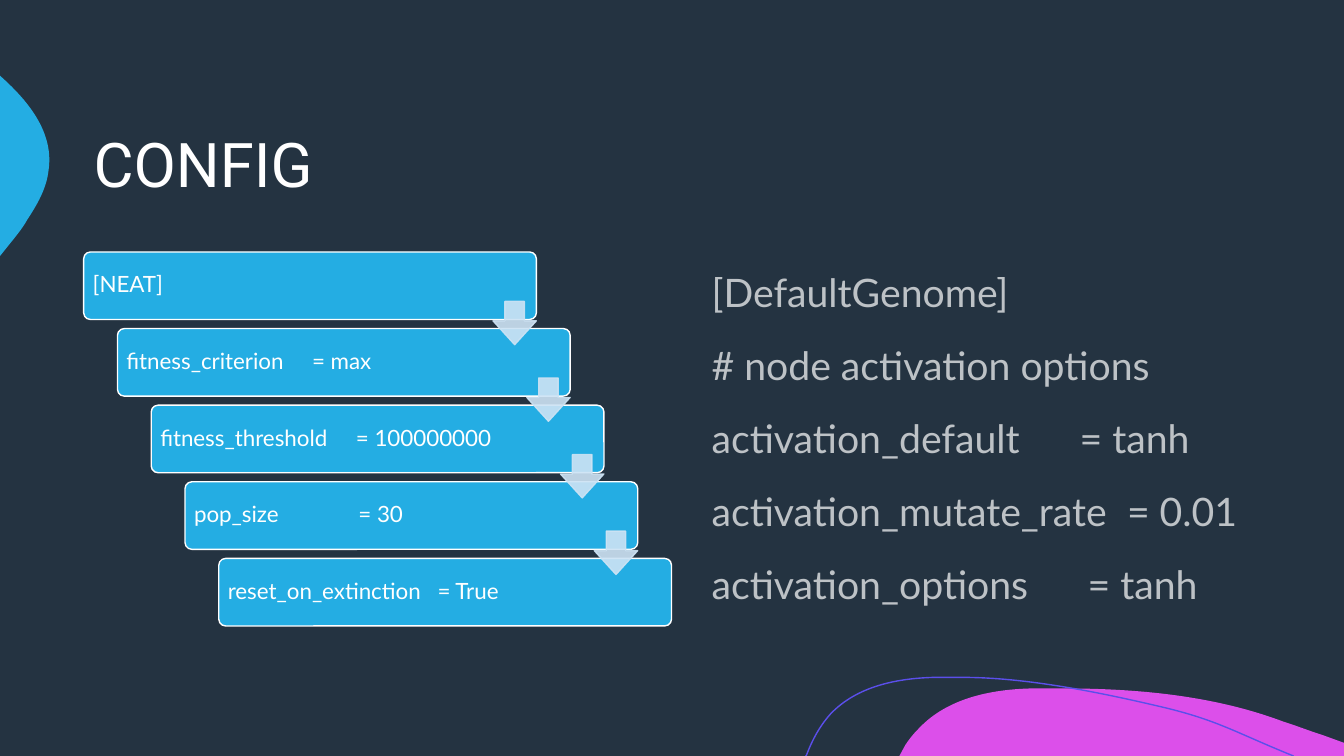
"""Build the CONFIG slide with its stepped settings and genome options."""
from pptx import Presentation
from pptx.dml.color import RGBColor
from pptx.enum.shapes import MSO_SHAPE
from pptx.enum.text import MSO_ANCHOR, PP_ALIGN
from pptx.oxml.ns import qn
from pptx.util import Inches, Pt
from lxml.etree import SubElement

HUES = {"back": "243341", "blue": "24ADE3", "pink": "DC4FEA",
        "violet": "5B4FEA", "pale": "CDE3F4", "white": "FFFFFF"}
STEPS = [("[NEAT]", None), ("fitness_criterion\t= max", 1.84),
         ("fitness_threshold\t= 100000000", 1.94),
         ("pop_size\t= 30", 1.63), ("reset_on_extinction\t= True", 2.08)]
GENOME = [("[DefaultGenome]", None), ("# node activation options", None),
          ("activation_default\t= tanh", 3.65),
          ("activation_mutate_rate\t= 0.01", 4.12),
          ("activation_options\t= tanh", 3.73)]
WAVES = [
    ("pink", None, (10.54, 6.83), [
        (11.28, 6.83, 12.04, 6.9, 12.73, 7.16),
        (12.86, 7.2, 12.98, 7.25, 13.11, 7.29),
        (13.33, 7.37), (13.33, 7.5), (8.92, 7.5), (8.98, 7.39),
        (9.02, 7.33, 9.06, 7.28, 9.11, 7.23),
        (9.39, 6.93, 9.82, 6.84, 10.23, 6.83),
        (10.33, 6.83, 10.43, 6.83, 10.54, 6.83)]),
    ("blue", None, (0, 0.75), [
        (0.01, 0.76), (0.3, 1.02, 0.54, 1.33, 0.48, 1.7),
        (0.46, 1.87, 0.37, 2.03, 0.27, 2.18),
        (0.24, 2.24, 0.17, 2.33, 0.08, 2.44), (0, 2.54)]),
    (None, "violet", (7.99, 7.5), [
        (8, 7.49), (8.06, 7.33, 8.14, 7.19, 8.24, 7.08),
        (8.5, 6.81, 8.89, 6.73, 9.26, 6.72), (9.55, 6.72),
        (10.22, 6.72, 11, 6.89, 11.55, 7.02),
        (12.09, 7.15, 12.26, 7.27, 12.83, 7.5)])]
CARD = (0.83, 2.5, 4.49, 0.67)
ARROW = (4.89, 2.99, 0.43, 0.43)
SPAN = (1.34, 3.04)
BOX = {"word_wrap": True, "vertical_anchor": MSO_ANCHOR.MIDDLE,
       "margin_left": Inches(0.07), "margin_right": Inches(0.07)}
TITLE = {"word_wrap": True, "vertical_anchor": MSO_ANCHOR.MIDDLE}
LIST = {"word_wrap": True, "vertical_anchor": MSO_ANCHOR.TOP}
TIGHT = {"line_spacing": 0.9, "alignment": PP_ALIGN.LEFT}
LOOSE = {"line_spacing": 1.25, "space_before": Pt(10)}


def tint(hue):
    return RGBColor.from_string(HUES[hue])


def apply(part, values):
    for name, value in values.items():
        setattr(part, name, value)


def fade(node, share):
    for hue in node.iter(qn("a:srgbClr")):
        SubElement(hue, qn("a:alpha"), val=str(share * 1000))


def paint(shape, fill, line):
    shape.shadow.inherit = False
    for part, hue in ((shape.fill, fill), (shape.line.fill, line)):
        if hue:
            part.solid()
            part.fore_color.rgb = tint(hue)
        else:
            part.background()
    if line:
        shape.line.width = Pt(1)


def write(shape, rows, frame, para, face, size, share=None):
    text = shape.text_frame
    apply(text, frame)
    for i, (words, stop) in enumerate(rows):
        line = text.add_paragraph() if i else text.paragraphs[0]
        apply(line, para)
        if stop:
            tabs = SubElement(line._p.get_or_add_pPr(), qn("a:tabLst"))
            SubElement(tabs, qn("a:tab"), pos=str(Inches(stop)), algn="l")
        run = line.add_run()
        run.text = words
        apply(run.font, {"name": face, "size": Pt(size)})
        run.font.color.rgb = tint("white")
        if share:
            fade(run._r, share)


def draw(start, parts, close):
    pen = shapes.build_freeform(*map(Inches, start))
    pen.add_line_segments([tuple(map(Inches, part[-2:])) for part in parts], close)
    wave = pen.convert_to_shape()
    lines = list(wave._element.iter(qn("a:lnTo")))
    for line, part in zip(lines, parts):
        if len(part) == 6:
            line.tag = qn("a:cubicBezTo")
            line.remove(line[0])
            for x, y in zip(part[::2], part[1::2]):
                SubElement(line, qn("a:pt"), x=str(Inches(x) - wave.left),
                           y=str(Inches(y) - wave.top))
    return wave


def place(kind, spot, i, bends):
    left, top, *size = spot
    shift = [gap * i / (len(STEPS) - 1) for gap in SPAN]
    shape = shapes.add_shape(kind, *map(Inches, (left + shift[0], top + shift[1], *size)))
    for n, bend in enumerate(bends):
        shape.adjustments[n] = bend
    return shape


deck = Presentation()
apply(deck, {"slide_width": Inches(13.33), "slide_height": Inches(7.5)})
slide = deck.slides.add_slide(deck.slide_layouts[6])
slide.background.fill.solid()
slide.background.fill.fore_color.rgb = tint("back")
shapes = slide.shapes

for fill, line, start, parts in WAVES:
    paint(draw(start, parts, bool(fill)), fill, line)

title = shapes.add_textbox(*map(Inches, (0.83, 0.83, 11.67, 1.67)))
write(title, [("CONFIG", None)], TITLE, TIGHT, "Roboto", 44)

for i, row in enumerate(STEPS):
    card = place(MSO_SHAPE.ROUNDED_RECTANGLE, CARD, i, [0.1])
    paint(card, "blue", "white")
    write(card, [row], BOX, TIGHT, "Lato", 16)

for i in range(len(STEPS) - 1):
    arrow = place(MSO_SHAPE.DOWN_ARROW, ARROW, i, [0.45, 0.55])
    paint(arrow, "pale", "pale")
    fade(arrow._element.spPr, 90)

genome = shapes.add_textbox(*map(Inches, (6.96, 2.5, 5.83, 3.7)))
write(genome, GENOME, LIST, LOOSE, "Lato", 28, 70)

deck.save("out.pptx")
